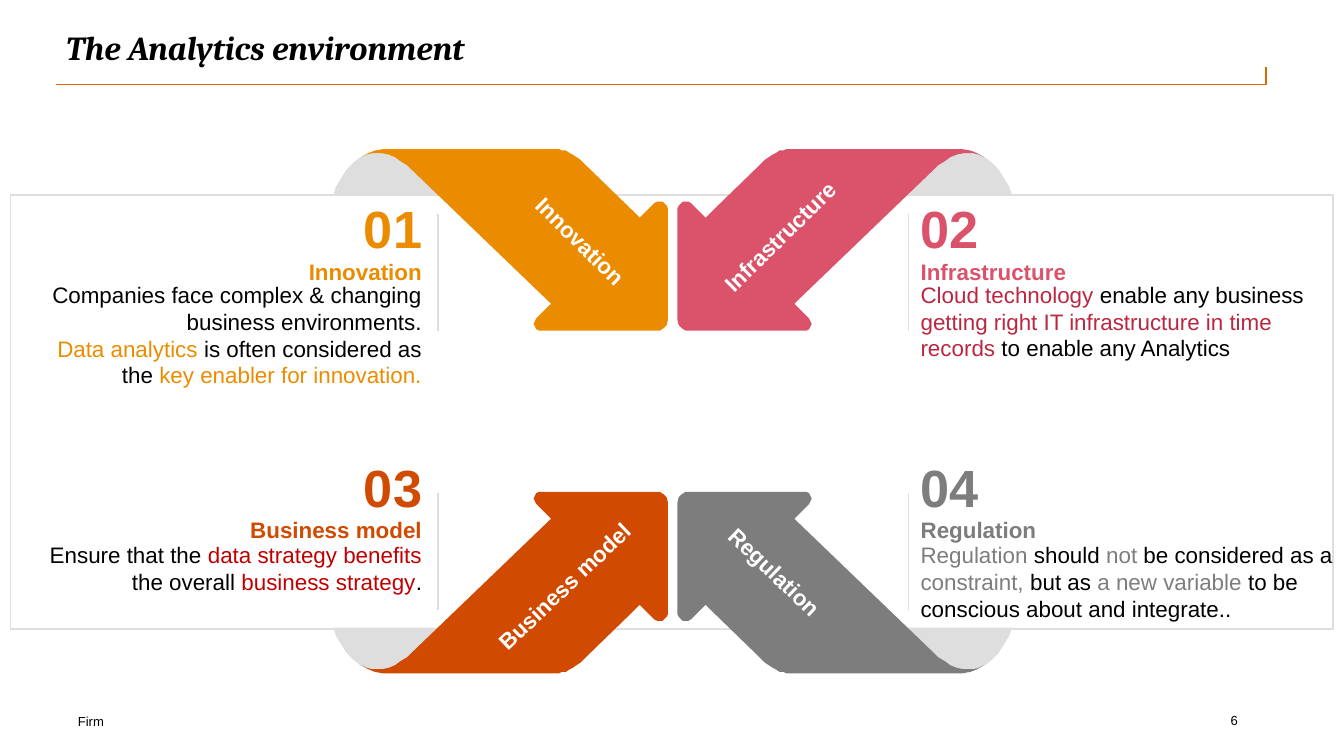
"""Build the slide on the analytics environment with four folded arrows."""
from dataclasses import dataclass
from typing import NamedTuple

import pptx
import pptx.dml.color
import pptx.enum.shapes
import pptx.enum.text
import pptx.oxml
import pptx.oxml.ns
import pptx.shapes.connector
import pptx.shapes.shapetree
import pptx.slide
import pptx.util

EMU_PER_PX = 9144
MIRROR_X, MIRROR_Y = 1001, 612
LEFT = pptx.enum.text.PP_ALIGN.LEFT
RIGHT = pptx.enum.text.PP_ALIGN.RIGHT


@dataclass(frozen=True)
class Theme:
    body_font: str = "Arial"
    title_font: str = "Cambria"
    black: str = "000000"
    white: str = "FFFFFF"
    grey: str = "DEDEDE"
    rule: str = "DC6900"
    orange: str = "EB8C00"
    rose: str = "DB536A"
    crimson: str = "BB2740"
    rust: str = "D04A02"
    red: str = "C00000"
    slate: str = "7D7D7D"
    title_size: int = 18
    number_size: int = 28
    text_size: int = 12
    footer_size: int = 7


THEME = Theme()


class Box(NamedTuple):
    left: int
    top: int
    width: int
    height: int


class Run(NamedTuple):
    text: str
    color: str = THEME.black
    size: int = THEME.text_size
    bold: bool = False
    italic: bool = False
    font: str = THEME.body_font


@dataclass(frozen=True)
class Topic:
    number: str
    name: str
    color: str
    on_right: bool
    on_bottom: bool
    label: Box
    rotation: float
    heading_width: int
    body_width: int
    body_height: int
    body: list[list[Run]]


FOLD = [
    (248, 145), (345, 145), (345, 113), (279, 113), (276, 114), (272, 115), (268, 117),
    (263, 121), (258, 126), (253, 134), (250, 139),
]
ARROW = [
    (497, 236), (497, 155), (496, 153), (495, 152), (493, 150), (491, 150), (489, 150),
    (487, 151), (476, 162), (471, 157), (437, 124), (432, 119), (429, 117), (426, 115),
    (424, 114), (421, 112), (418, 112), (416, 111), (285, 111), (279, 112), (274, 114),
    (269, 117), (273, 115), (277, 114), (284, 114), (289, 115), (294, 117), (298, 120),
    (303, 123), (306, 126), (410, 226), (399, 237), (398, 239), (397, 241), (398, 243),
    (399, 245), (401, 246), (403, 246), (487, 246), (491, 246), (494, 244), (496, 242),
    (497, 238),
]
TOPICS = [
    Topic("01", "Innovation", THEME.orange, False, False, Box(335, 146, 151, 43), 44.6, 193, 294, 91, [
        [Run("Companies face complex & changing business environments.")],
        [Run("Data analytics", THEME.orange), Run(" is often considered as the "),
         Run("key enabler for innovation.", THEME.orange)],
    ]),
    Topic("04", "Regulation", THEME.slate, True, True, Box(512, 424, 151, 45), 43.7, 279, 307, 47, [
        [Run("Regulation ", THEME.slate), Run("should "), Run("not", THEME.slate),
         Run(" be considered as a "), Run("constraint, ", THEME.slate), Run("but as "),
         Run("a new variable", THEME.slate), Run(" to be conscious about and integrate..")],
    ]),
    Topic("02", "Infrastructure", THEME.rose, True, False, Box(515, 152, 151, 36), 315.4, 279, 296, 94, [
        [Run("Cloud technology", THEME.crimson), Run(" enable any business "),
         Run("getting right IT infrastructure in time records", THEME.crimson),
         Run(" to enable any Analytics")],
    ]),
    Topic("03", "Business model", THEME.rust, False, True, Box(346, 421, 151, 39), 316.3, 277, 294, 56, [
        [Run("Ensure that the"), Run(" data strategy benefits ", THEME.red), Run("the overall"),
         Run(" business strategy", THEME.red), Run(".")],
    ]),
]


def px(length: int) -> pptx.util.Emu:
    return pptx.util.Emu(length * EMU_PER_PX)


def rgb(color: str) -> pptx.dml.color.RGBColor:
    return pptx.dml.color.RGBColor.from_string(color)


def add_text(shapes: pptx.shapes.shapetree._BaseGroupShapes, box: Box, paragraphs: list[list[Run]],
             align=LEFT, margins: tuple[int, int] = (0, 0), rotation: float = 0) -> None:
    shape = shapes.add_textbox(*map(px, box))
    shape.rotation = rotation
    frame = shape.text_frame
    frame.word_wrap = True
    frame.margin_left = frame.margin_right = px(margins[0])
    frame.margin_top = frame.margin_bottom = px(margins[1])
    for index, runs in enumerate(paragraphs):
        paragraph = frame.add_paragraph() if index else frame.paragraphs[0]
        paragraph.alignment = align
        for item in runs:
            run = paragraph.add_run()
            run.text = item.text
            run.font.name = item.font
            run.font.size = pptx.util.Pt(item.size)
            run.font.bold = item.bold
            run.font.italic = item.italic
            run.font.color.rgb = rgb(item.color)


def add_line(slide: pptx.slide.Slide, start: tuple[int, int], end: tuple[int, int], color: str,
             kind=pptx.enum.shapes.MSO_CONNECTOR.STRAIGHT) -> pptx.shapes.connector.Connector:
    line = slide.shapes.add_connector(kind, *map(px, start + end))
    line.line.color.rgb = rgb(color)
    line.line.width = pptx.util.Pt(1)
    line._element.spPr.append(pptx.oxml.parse_xml(f'<a:effectLst {pptx.oxml.ns.nsdecls("a")}/>'))
    return line


def add_outline(shapes: pptx.shapes.shapetree._BaseGroupShapes, points: list[tuple[int, int]],
                topic: Topic, color: str) -> None:
    placed = [(MIRROR_X - x if topic.on_right else x, MIRROR_Y - y if topic.on_bottom else y)
              for x, y in points]
    builder = shapes.build_freeform(*placed[0], scale=EMU_PER_PX)
    builder.add_line_segments(placed[1:], close=True)
    shape = builder.convert_to_shape()
    shape.shadow.inherit = False
    shape.fill.solid()
    shape.fill.fore_color.rgb = rgb(color)
    shape.line.fill.background()


def add_ribbon(slide: pptx.slide.Slide, topic: Topic) -> None:
    shapes = slide.shapes.add_group_shape().shapes
    add_outline(shapes, FOLD, topic, THEME.grey)
    add_outline(shapes, ARROW, topic, topic.color)
    add_text(shapes, topic.label, [[Run(topic.name, THEME.white, bold=True)]],
             LEFT if topic.on_right else RIGHT, (10, 5), topic.rotation)


def add_panel(slide: pptx.slide.Slide, topic: Topic) -> None:
    number_top, heading_top, body_top, rule_top = (
        (339, 384, 403, 367) if topic.on_bottom else (146, 192, 209, 159))
    rule_x = 676 if topic.on_right else 326
    add_line(slide, (rule_x, rule_top + 87), (rule_x, rule_top), THEME.grey)
    blocks = [
        (number_top, 60, 33, [[Run(topic.number, topic.color, THEME.number_size, True)]]),
        (heading_top, topic.heading_width, 14, [[Run(topic.name, topic.color, bold=True)]]),
        (body_top, topic.body_width, topic.body_height, topic.body),
    ]
    for top, width, height, paragraphs in blocks:
        left = 685 if topic.on_right else 314 - width
        add_text(slide.shapes, Box(left, top, width, height), paragraphs,
                 LEFT if topic.on_right else RIGHT)


def add_frame(slide: pptx.slide.Slide) -> None:
    add_text(slide.shapes, Box(58, 531, 283, 12), [[Run("Firm", size=THEME.footer_size)]])
    elbow = add_line(slide, (42, 63), (942, 50), THEME.rule, pptx.enum.shapes.MSO_CONNECTOR.ELBOW)
    elbow._element.spPr.find(pptx.oxml.ns.qn("a:prstGeom")).set("prst", "bentConnector2")
    title = Run("The Analytics environment", THEME.black, THEME.title_size, True, True, THEME.title_font)
    add_text(slide.shapes, Box(49, 20, 883, 39), [[title]])
    add_text(slide.shapes, Box(754, 530, 167, 12), [[Run("6", size=THEME.footer_size)]], RIGHT)
    border = slide.shapes.add_shape(pptx.enum.shapes.MSO_SHAPE.RECTANGLE, *map(px, Box(8, 145, 984, 323)))
    border.shadow.inherit = False
    border.fill.background()
    border.line.color.rgb = rgb(THEME.grey)
    border.line.width = pptx.util.Pt(0.75)


def main() -> None:
    presentation = pptx.Presentation()
    presentation.slide_width = px(1000)
    presentation.slide_height = pptx.util.Emu(px(1000) * 9 // 16)
    slide = presentation.slides.add_slide(presentation.slide_layouts[6])
    add_frame(slide)
    for topic in TOPICS:
        add_ribbon(slide, topic)
    for topic in TOPICS:
        add_panel(slide, topic)
    presentation.save("out.pptx")


if __name__ == "__main__":
    main()
